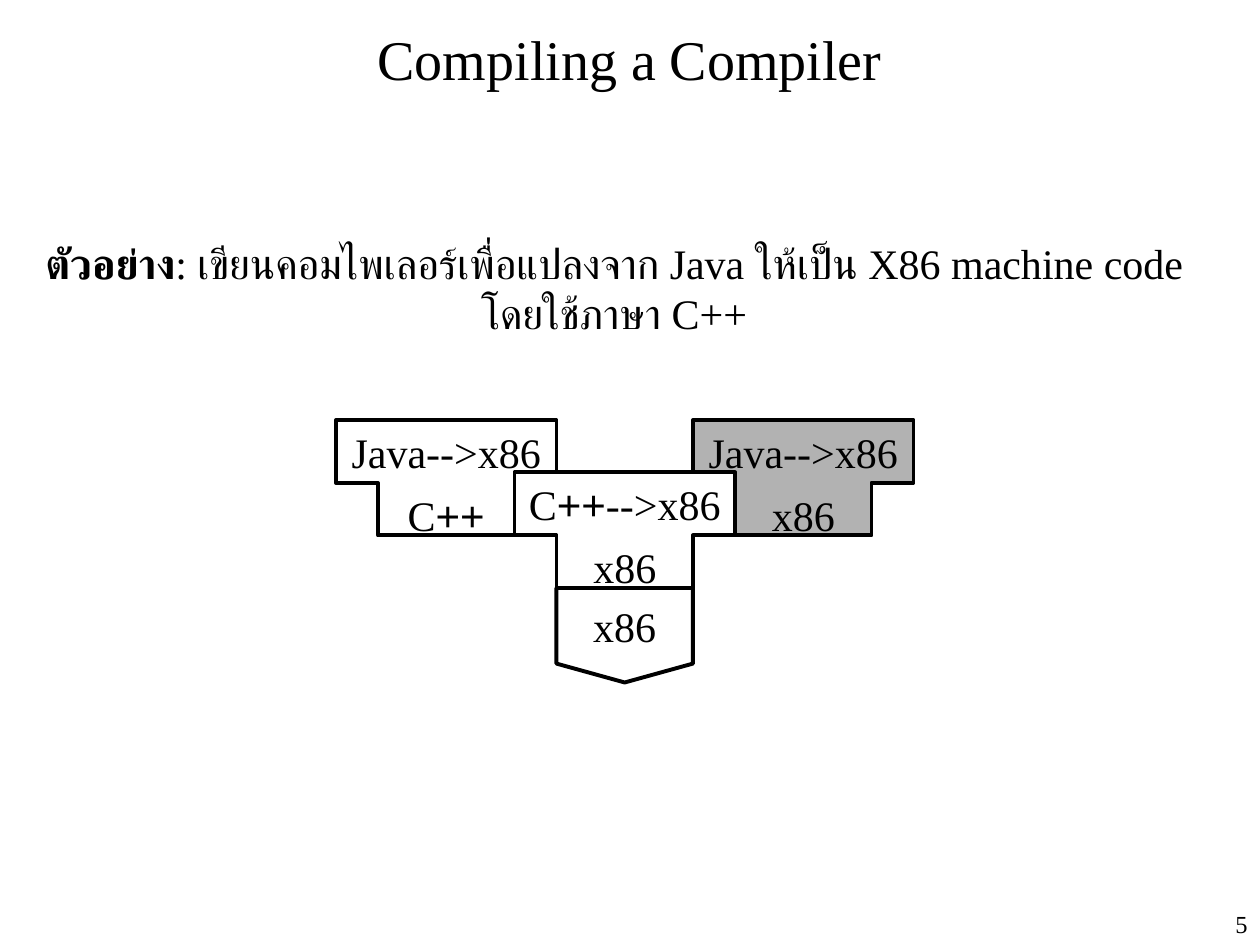
from pptx import Presentation
from pptx.dml.color import RGBColor
from pptx.enum.shapes import MSO_SHAPE
from pptx.enum.text import MSO_ANCHOR, PP_ALIGN
from pptx.util import Inches, Pt

SERIF, SANS = "Times New Roman", "Arial"
BLACK, WHITE, GREY = "000000", "FFFFFF", "B2B2B2"
U = Inches(1) // 12  # grid: 120 columns by 90 rows

prs = Presentation()
prs.slide_width, prs.slide_height = 120 * U, 90 * U
s = prs.slides.add_slide(prs.slide_layouts[6])


def write(sp, runs, size=24, align=PP_ALIGN.CENTER, anchor=MSO_ANCHOR.TOP, wrap=True):
    """Fill a shape with one paragraph of (text, font, bold) runs."""
    tf = sp.text_frame
    tf.word_wrap, tf.vertical_anchor = wrap, anchor
    p = tf.paragraphs[0]
    p.alignment = align
    p.font.size = Pt(size)
    p.font.color.rgb = RGBColor.from_string(BLACK)
    for text, font, bold in runs:
        r = p.add_run()
        r.text, r.font.name, r.font.bold = text, font, bold


def paint(sp, fill):
    """Flat fill with the diagram's black outline."""
    sp.shadow.inherit = False
    sp.fill.solid()
    sp.fill.fore_color.rgb = RGBColor.from_string(fill)
    sp.line.color.rgb = RGBColor.from_string(BLACK)
    sp.line.width = Pt(2.25)


# Title, example sentence and slide number
sp = s.shapes.add_textbox(3 * U, U, 114 * U, 9 * U)
write(sp, [("Compiling a Compiler", SERIF, False)], 32, anchor=MSO_ANCHOR.MIDDLE)

sp = s.shapes.add_textbox(0, 22 * U, 117 * U, 11 * U)
write(sp, [("ตัวอย่าง", SERIF, True),
           (": เขียนคอมไพเลอร์เพื่อแปลงจาก Java ให้เป็น X86 machine code โดยใช้ภาษา C++",
            SERIF, False)])

sp = s.shapes.add_textbox(111 * U, 86 * U, 9 * U, 4 * U)
write(sp, [("5", SERIF, False)], 14, PP_ALIGN.RIGHT)

# Machine that runs the compiler
sp = s.shapes.add_shape(MSO_SHAPE.FLOWCHART_OFFPAGE_CONNECTOR, 53 * U, 56 * U, 13 * U, 9 * U)
paint(sp, WHITE)
write(sp, [("x86", SERIF, False)], anchor=MSO_ANCHOR.MIDDLE, wrap=False)

# T-diagrams: column, row, fill, translation on the bar, language on the stem
CPP = [("C", SERIF, False), ("++", SANS, False)]
X86 = [("x86", SERIF, False)]
JAVA_X86 = [("Java-->x86", SERIF, False)]
T_OUTLINE = [(21, 0), (21, 6), (17, 6), (17, 11), (4, 11), (4, 6), (0, 6)]

for col, row, fill, bar, stem in [
    (66, 40, GREY, JAVA_X86, X86),
    (32, 40, WHITE, JAVA_X86, CPP),
    (49, 45, WHITE, CPP + [("-->x86", SERIF, False)], X86),
]:
    outline = s.shapes.build_freeform(col, row, scale=U)
    outline.add_line_segments([(col + x, row + y) for x, y in T_OUTLINE], close=True)
    paint(outline.convert_to_shape(), fill)
    write(s.shapes.add_textbox(col * U, row * U, 21 * U, 6 * U), bar)
    write(s.shapes.add_textbox((col + 3) * U, (row + 6) * U, 15 * U, 6 * U), stem)

prs.save("out.pptx")
